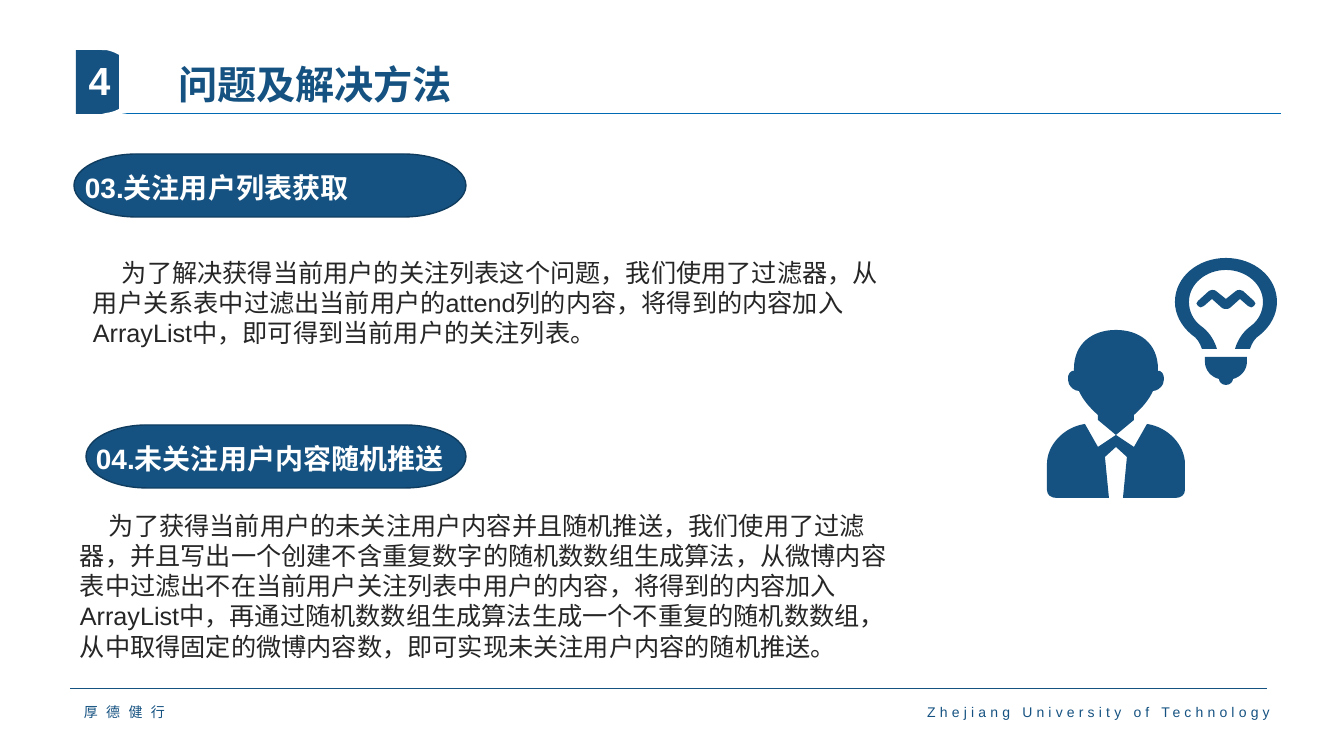
from lxml import etree
from pptx import Presentation
from pptx.dml.color import RGBColor
from pptx.enum import shapes, text
from pptx.oxml import ns
from pptx.util import Pt

PX = 914400 / 100.8
COLORS = {"navy": "155281", "edge": "103D5F", "rule": "006BB3",
          "ink": "262626", "white": "FFFFFF"}
CJK_FONT = "Noto Sans CJK SC"

# Outlines: a start point, then line ends (2 numbers) or cubic curves (6 numbers).
BADGE_CURVE = [
    (102, 50), (118, 50), (138, 50, 155, 65, 155, 82), (155, 100, 138, 114, 118, 114),
    (102, 114), (106, 113), (123, 111, 136, 98, 136, 82), (136, 67, 123, 53, 106, 50)]
# Right halves, measured from the axis of symmetry.
PERSON_AXIS, BULB_AXIS = 1116, 1226
HEAD = [
    (0, 330), (23, 330, 42, 343, 42, 369), (42, 370, 42, 370, 42, 371),
    (43, 371, 43, 371, 44, 371), (48, 373, 49, 378, 47, 384), (45, 388, 41, 391, 37, 391),
    (33, 400, 26, 408, 18, 415), (18, 419), (18, 420, 18, 420, 18, 420), (0, 435)]
SUIT = [
    (0, 435), (18, 447), (31, 424), (52, 427, 69, 445, 69, 464), (69, 490),
    (69, 495, 65, 498, 59, 498), (7, 498), (11, 457), (0, 447)]
GLASS = [
    (0, 258), (28, 258, 51, 277, 51, 302), (51, 314, 45, 326, 34, 335),
    (29, 338, 26, 343, 24, 349), (9, 349), (10, 346), (13, 338, 18, 331, 25, 326),
    (33, 320, 37, 311, 37, 302), (37, 284, 20, 270, 0, 270)]
FILAMENT = [
    (0, 299), (10, 291), (11, 290, 12, 290, 14, 290), (15, 290, 16, 290, 17, 291),
    (28, 301), (30, 302, 30, 305, 28, 306), (27, 308, 24, 308, 22, 306),
    (14, 299), (4, 308), (3, 309, 1, 309, 0, 309)]
SOCKET = [
    (0, 357), (21, 357), (21, 362), (21, 370, 15, 377, 7, 379), (7, 382, 4, 385, 0, 385)]


def emu(px):
    return round(px * PX)


def rgb(name):
    return RGBColor.from_string(COLORS[name])


def place(box, frame):
    for side, px in zip(("left", "top", "width", "height"), frame):
        setattr(box, side, emu(px))


def pairs(part):
    return list(zip(part[::2], part[1::2]))


def mirrored(half, axis):
    """Close a right half with its reflection, drawn backwards."""
    right = [[(axis + x, y) for x, y in pairs(part)] for part in half]
    left = []
    for before, part in zip(half[-2::-1], half[:0:-1]):
        points = pairs(before)[-1:] + pairs(part)[:-1]
        left.append([(axis - x, y) for x, y in reversed(points)])
        left[-1] = left[-1][:-1] + [(axis - points[0][0], points[0][1])]
    return right + left


def paint(shape, fill, edge=None):
    shape.shadow.inherit = False
    shape.fill.solid()
    shape.fill.fore_color.rgb = rgb(fill)
    if edge:
        shape.line.color.rgb = rgb(edge)
        shape.line.width = Pt(1)
    else:
        shape.line.fill.background()


def add_preset(parent, preset, frame, fill, edge=None):
    shape = parent.shapes.add_shape(preset, *map(emu, frame))
    paint(shape, fill, edge)


def bend(shape, contours):
    """Join each three line ends that stand for a curve into one cubic."""
    ends = iter(list(shape._element.iter(ns.qn("a:lnTo"))))
    for contour in contours:
        for part in contour[1:]:
            first, *others = [next(ends) for _ in part]
            if others:
                first.tag = ns.qn("a:cubicBezTo")
            for other in others:
                first.append(other[0])
                other.getparent().remove(other)


def add_outline(page, contours, fill):
    builder = None
    for contour in contours:
        points = [(emu(x), emu(y)) for part in contour for x, y in part]
        if builder is None:
            builder = page.shapes.build_freeform(*points[0])
        else:
            builder.move_to(*points[0])
        builder.add_line_segments(points[1:], close=True)
    shape = builder.convert_to_shape()
    paint(shape, fill)
    bend(shape, contours)


def add_rule(page, left, right, y, color, width):
    line = page.shapes.add_connector(
        shapes.MSO_CONNECTOR.STRAIGHT, emu(left), emu(y), emu(right), emu(y))
    line.line.color.rgb = rgb(color)
    line.line.width = Pt(width)
    etree.SubElement(line._element.spPr, ns.qn("a:effectLst"))


def write(box, words, size, color, bold=False, font="Arial", spacing=0,
          indents=(0, 0, 0), anchor=text.MSO_ANCHOR.TOP, **para_format):
    """Fill a box with one paragraph; indents are left, right and first line."""
    frame = box.text_frame
    for key, value in {"word_wrap": True, "auto_size": text.MSO_AUTO_SIZE.NONE,
                       "vertical_anchor": anchor}.items():
        setattr(frame, key, value)
    para = frame.paragraphs[0]
    props = para._p.get_or_add_pPr()
    for key, px in zip(("marL", "marR", "indent"), indents):
        props.set(key, str(emu(px)))
    etree.SubElement(props, ns.qn("a:buNone"))
    for key, value in {"alignment": text.PP_ALIGN.LEFT, "space_before": Pt(0),
                       **para_format}.items():
        setattr(para, key, value)
    span = para.add_run()
    span.text = words
    span.font.color.rgb = rgb(color)
    for key, value in {"size": Pt(size), "bold": bold, "name": font}.items():
        setattr(span.font, key, value)
    run_props = span._r.get_or_add_rPr()
    etree.SubElement(run_props, ns.qn("a:ea"), typeface=CJK_FONT)
    if spacing:
        run_props.set("spc", str(spacing * 100))


def add_text(parent, frame, words, size, color, **style):
    box = parent.shapes.add_textbox(*map(emu, frame))
    write(box, words, size, color, **style)
    return box


def fill_placeholder(box, frame, words, color, **style):
    """Move a placeholder to the front, then write in it."""
    place(box, frame)
    box._element.getparent().append(box._element)
    write(box, words, 28, color, bold=True, line_spacing=0.9, **style)


def add_heading(page, left, top, width, text_left, words):
    group = page.shapes.add_group_shape()
    add_preset(group, shapes.MSO_SHAPE.FLOWCHART_TERMINATOR,
               (left, top, width, 63), "navy", "edge")
    add_text(group, (text_left, top - 31, width, 86), words, 20, "white", bold=True,
             anchor=text.MSO_ANCHOR.BOTTOM, line_spacing=1.2)


def add_answer(page, left, top, width, words):
    add_text(page, (left, top, width, 78), words, 18, "ink", indents=(9, 31, 29))


def main():
    deck = Presentation()
    deck.slide_width, deck.slide_height = emu(1344), emu(756)
    page = deck.slides.add_slide(deck.slide_layouts[1])
    title, number = page.placeholders

    add_rule(page, 77, 1281, 113, "rule", 0.25)
    add_rule(page, 70, 1267, 688, "navy", 0.5)
    add_preset(page, shapes.MSO_SHAPE.RECTANGLE, (76, 50, 43, 64), "navy")
    add_outline(page, [[pairs(part) for part in BADGE_CURVE]], "white")
    person = [mirrored(half, PERSON_AXIS) for half in (SUIT, HEAD)]
    bulb = [mirrored(half, BULB_AXIS) for half in (GLASS, FILAMENT, SOCKET)]
    add_outline(page, person + bulb, "navy")

    fill_placeholder(title, (168, 49, 1102, 64), "问题及解决方法", "navy",
                     anchor=text.MSO_ANCHOR.BOTTOM)
    middle = text.MSO_ANCHOR.MIDDLE
    add_text(page, (74, 700, 299, 24), "厚德健行", 10, "navy", font=CJK_FONT,
             spacing=6, anchor=middle)
    school = add_text(page, (857, 700, 413, 24), "Zhejiang University of Technology",
                      10, "navy", spacing=3, anchor=middle,
                      alignment=text.PP_ALIGN.RIGHT)
    school.text_frame.margin_left = school.text_frame.margin_right = 0
    fill_placeholder(number, (74, 59, 51, 47), "4", "white", anchor=middle,
                     alignment=text.PP_ALIGN.CENTER)

    add_heading(page, 74, 154, 392, 75, "03.关注用户列表获取")
    add_answer(page, 74, 252, 856,
               "为了解决获得当前用户的关注列表这个问题，我们使用了过滤器，从用户关系表中"
               "过滤出当前用户的attend列的内容，将得到的内容加入ArrayList中，即可得到当前"
               "用户的关注列表。")
    add_heading(page, 86, 425, 380, 86, "04.未关注用户内容随机推送")
    add_answer(page, 61, 505, 868,
               "为了获得当前用户的未关注用户内容并且随机推送，我们使用了过滤器，并且写出"
               "一个创建不含重复数字的随机数数组生成算法，从微博内容表中过滤出不在当前用户"
               "关注列表中用户的内容，将得到的内容加入ArrayList中，再通过随机数数组生成算法"
               "生成一个不重复的随机数数组，从中取得固定的微博内容数，即可实现未关注用户"
               "内容的随机推送。")
    deck.save("out.pptx")


if __name__ == "__main__":
    main()
